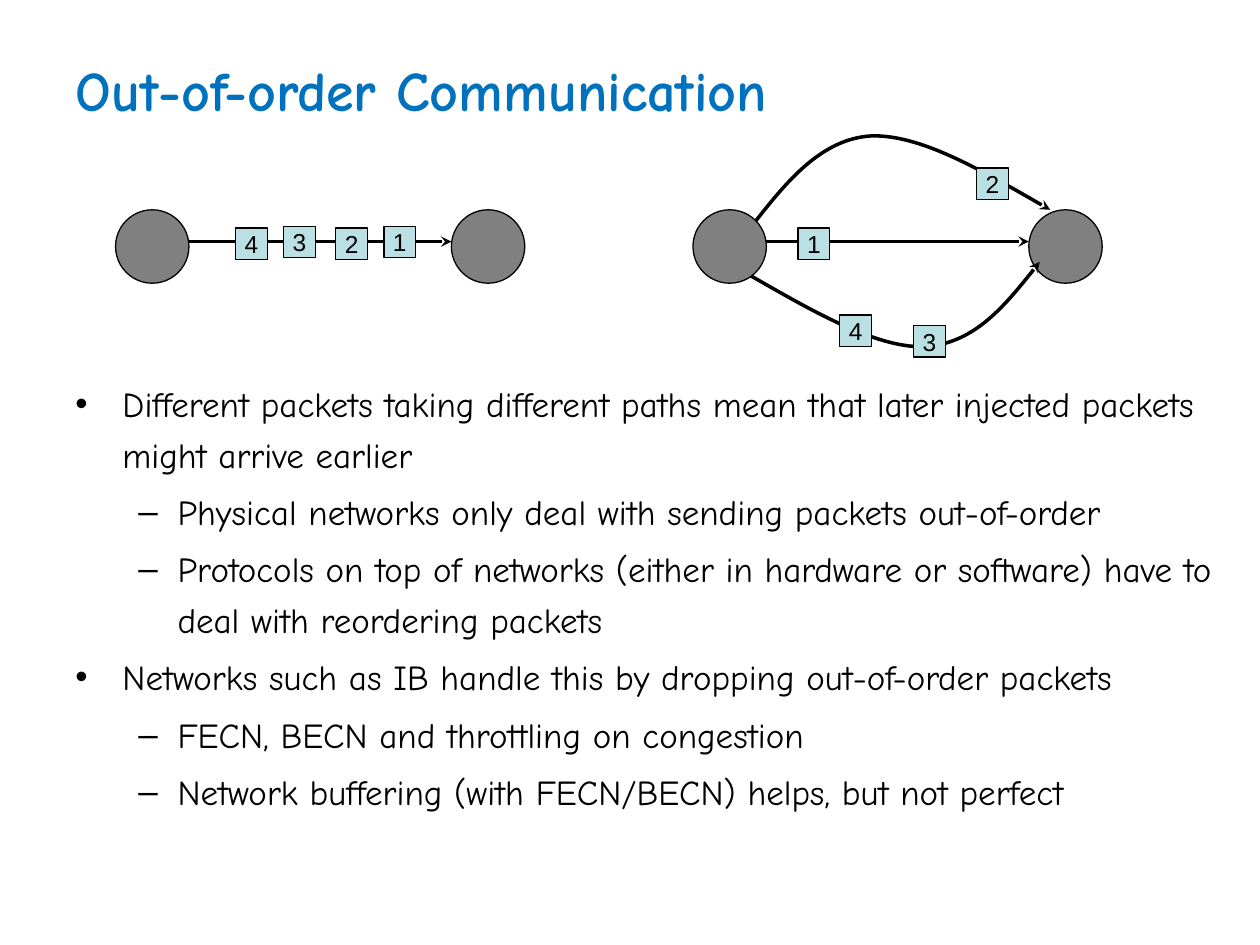
from typing import NamedTuple

from pptx import Presentation
from pptx.dml.color import RGBColor
from pptx.enum.shapes import MSO_CONNECTOR, MSO_SHAPE
from pptx.enum.text import MSO_ANCHOR, PP_ALIGN
from pptx.oxml.ns import qn
from pptx.util import Cm, Pt

COLOURS = {
    "title": "0071BC",
    "black": "000000",
    "node": "808080",
    "packet": "BBE0E3",
}
NODE_SIZE, NODE_TOP = 1.48, 4.23
PACKET_SIZE = 0.64
LINK_TOP = 4.87


class Packet(NamedTuple):
    number: str
    left: float
    top: float


class Bullet(NamedTuple):
    level: int
    text: str


class BulletStyle(NamedTuple):
    symbol: str
    margin: float
    indent: float


BULLET_STYLES = [BulletStyle("•", 0.95, -0.95), BulletStyle("–", 2.06, -0.79)]
BULLETS = [
    Bullet(0, "Different packets taking different paths mean that later injected packets might arrive earlier"),
    Bullet(1, "Physical networks only deal with sending packets out-of-order"),
    Bullet(1, "Protocols on top of networks (either in hardware or software) have to deal with reordering packets"),
    Bullet(0, "Networks such as IB handle this by dropping out-of-order packets"),
    Bullet(1, "FECN, BECN and throttling on congestion"),
    Bullet(1, "Network buffering (with FECN/BECN) helps, but not perfect"),
]
ORDERED_PACKETS = [
    Packet("1", 7.74, 4.56),
    Packet("2", 6.77, 4.6),
    Packet("3", 5.72, 4.56),
    Packet("4", 4.75, 4.6),
]
ROUTED_PACKETS = [
    Packet("1", 16.09, 4.6),
    Packet("2", 19.69, 3.39),
    Packet("3", 18.42, 6.56),
    Packet("4", 16.93, 6.35),
]
UPPER_ROUTE = [
    (15.24, 4.45), (15.9, 3.61), (16.59, 2.79), (17.58, 2.74),
    (18.57, 2.72), (19.86, 3.48), (21.17, 4.23),
]
LOWER_ROUTE = [(36.2 - x, 9.73 - y) for x, y in reversed(UPPER_ROUTE)]


def colour(name: str) -> RGBColor:
    """Return the named colour."""
    return RGBColor.from_string(COLOURS[name])


def apply(target, values: dict) -> None:
    """Set every attribute in the format values."""
    for name, value in values.items():
        setattr(target, name, value)


def set_font(paragraph, name: str, size: float, ink: str, bold: bool = False) -> None:
    """Format the text of a paragraph."""
    apply(paragraph.font, {"name": name, "size": Pt(size), "bold": bold})
    paragraph.font.color.rgb = colour(ink)


def add_text_frame(slide, left: float, top: float, width: float, height: float):
    """Add a wrapping text box and return its frame."""
    frame = slide.shapes.add_textbox(Cm(left), Cm(top), Cm(width), Cm(height)).text_frame
    frame.word_wrap = True
    return frame


def add_title(slide, text: str) -> None:
    """Add the slide title."""
    frame = add_text_frame(slide, 1.27, 0.43, 22.86, 2.74)
    frame.vertical_anchor = MSO_ANCHOR.MIDDLE
    frame.text = text
    set_font(frame.paragraphs[0], "Comic Neue", 32, "title", True)


def add_bullets(slide, bullets: list[Bullet]) -> None:
    """Add the two-level bullet list."""
    frame = add_text_frame(slide, 1.27, 7.42, 23.5, 9.73)
    for index, bullet in enumerate(bullets):
        paragraph = frame.add_paragraph() if index else frame.paragraphs[0]
        style = BULLET_STYLES[bullet.level]
        paragraph.text = bullet.text
        apply(paragraph, {
            "level": bullet.level,
            "line_spacing": 1.2,
            "space_before": Pt(4 if index else 0),
        })
        properties = paragraph._p.get_or_add_pPr()
        properties.set("marL", str(Cm(style.margin)))
        properties.set("indent", str(Cm(style.indent)))
        font = properties.makeelement(qn("a:buFont"), {"typeface": "Arial"})
        symbol = properties.makeelement(qn("a:buChar"), {"char": style.symbol})
        properties.extend([font, symbol])
        set_font(paragraph, "Comic Neue", 20, "black")


def add_box(slide, kind: MSO_SHAPE, left: float, top: float, size: float, fill: str):
    """Add an outlined shape of equal width and height."""
    shape = slide.shapes.add_shape(kind, Cm(left), Cm(top), Cm(size), Cm(size))
    shape.shadow.inherit = False
    shape.fill.solid()
    shape.fill.fore_color.rgb = colour(fill)
    shape.line.color.rgb = colour("black")
    shape.line.width = Pt(0.75)
    return shape


def add_node(slide, left: float) -> None:
    """Add a network node."""
    add_box(slide, MSO_SHAPE.OVAL, left, NODE_TOP, NODE_SIZE, "node")


def add_packet(slide, packet: Packet) -> None:
    """Add a numbered packet."""
    shape = add_box(slide, MSO_SHAPE.RECTANGLE, packet.left, packet.top, PACKET_SIZE, "packet")
    frame = shape.text_frame
    apply(frame, {"text": packet.number, "word_wrap": False, "vertical_anchor": MSO_ANCHOR.MIDDLE})
    paragraph = frame.paragraphs[0]
    paragraph.alignment = PP_ALIGN.CENTER
    set_font(paragraph, "Arial", 14, "black")


def style_arrow(line) -> None:
    """Give a line its colour, width and stealth arrowhead."""
    line.color.rgb = colour("black")
    line.width = Pt(2)
    outline = line._get_or_add_ln()
    outline.append(outline.makeelement(qn("a:tailEnd"), {"type": "stealth"}))


def add_link(slide, start: float, end: float) -> None:
    """Add a straight horizontal arrow."""
    connector = slide.shapes.add_connector(
        MSO_CONNECTOR.STRAIGHT, Cm(start), Cm(LINK_TOP), Cm(end), Cm(LINK_TOP))
    style_arrow(connector.line)
    properties = connector._element.spPr
    properties.append(properties.makeelement(qn("a:effectLst"), {}))


def add_route(slide, points: list[tuple[float, float]]) -> None:
    """Add a curved arrow through cubic control points."""
    start, *others = [(Cm(x), Cm(y)) for x, y in points]
    builder = slide.shapes.build_freeform(*start)
    builder.add_line_segments(others, close=False)
    shape = builder.convert_to_shape()
    segments = shape._element.xpath(".//a:lnTo")
    for first in range(0, len(segments), 3):
        group = segments[first:first + 3]
        curve = group[0].makeelement(qn("a:cubicBezTo"), {})
        group[0].addprevious(curve)
        for segment in group:
            curve.append(segment[0])
            segment.getparent().remove(segment)
    shape.shadow.inherit = False
    shape.fill.background()
    style_arrow(shape.line)


def main() -> None:
    """Build and save the slide."""
    presentation = Presentation()
    apply(presentation, {"slide_width": Cm(25.4), "slide_height": Cm(19.05)})
    slide = presentation.slides.add_slide(presentation.slide_layouts[6])
    add_title(slide, "Out-of-order Communication")
    add_bullets(slide, BULLETS)
    for left in (2.33, 9.1, 20.74):
        add_node(slide, left)
    for start, end in ((3.81, 9.1), (15.45, 20.74)):
        add_link(slide, start, end)
    for route in (UPPER_ROUTE, LOWER_ROUTE):
        add_route(slide, route)
    add_node(slide, 13.97)
    for packet in ORDERED_PACKETS + ROUTED_PACKETS:
        add_packet(slide, packet)
    presentation.save("out.pptx")


if __name__ == "__main__":
    main()
